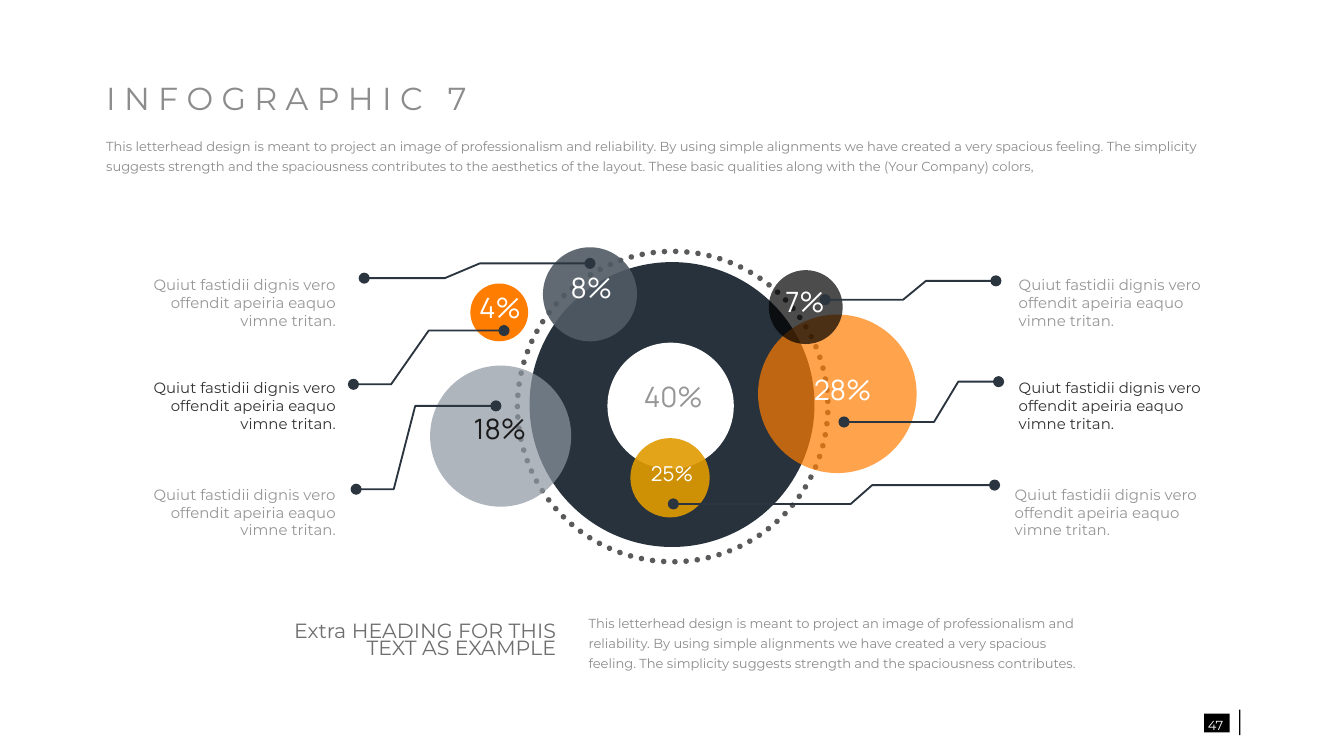
from lxml.etree import SubElement
from pptx import Presentation
from pptx.dml.color import RGBColor
from pptx.enum.dml import MSO_LINE
from pptx.enum.shapes import MSO_SHAPE
from pptx.enum.text import MSO_ANCHOR, MSO_AUTO_SIZE, PP_ALIGN
from pptx.oxml.ns import qn
from pptx.util import Inches, Pt

WHITE = RGBColor(0xFF, 0xFF, 0xFF)
BLACK = RGBColor(0x00, 0x00, 0x00)
INK = RGBColor(0x1A, 0x1A, 0x1A)
DARK = RGBColor(0x32, 0x32, 0x32)
GRAY = RGBColor(0x96, 0x96, 0x96)
SOFT = RGBColor(0x8C, 0x8C, 0x8C)
HEAD = RGBColor(0x6E, 0x6E, 0x6E)
DOTS = RGBColor(0x5A, 0x5A, 0x5A)
NAVY = RGBColor(0x28, 0x32, 0x3C)
WIRE = RGBColor(0x2B, 0x35, 0x3F)
SLATE = RGBColor(0x50, 0x5A, 0x64)
STEEL = RGBColor(0x8C, 0x96, 0xA0)
ORANGE = RGBColor(0xFF, 0x7D, 0x00)
GOLD = RGBColor(0xE1, 0x9B, 0x00)

INTRO = (
    "This letterhead design is meant to project an image of professionalism and "
    "reliability. By using simple alignments we have created a very spacious feeling. "
    "The simplicity suggests strength and the spaciousness contributes"
)
MORE = (
    " to the aesthetics of the layout. These basic qualities along with the "
    "(Your Company) colors,"
)
NOTE = "Quiut fastidii dignis vero offendit apeiria eaquo vimne tritan."

BUBBLES = [
    (4.04, 1.84, 0.7, SLATE, 90, "8%", (4.15, 2.02, 0.5, 0.27), 15, WHITE),
    (3.5, 2.11, 0.43, ORANGE, 100, "4%", (3.47, 2.17, 0.5, 0.27), 15, WHITE),
    (3.2, 2.72, 1.05, STEEL, 70, "18%", (3.47, 3.07, 0.5, 0.27), 15, INK),
    (4.52, 2.55, 0.94, WHITE, 100, "40%", (4.76, 2.83, 0.5, 0.27), 15, GRAY),
    (5.64, 2.34, 1.18, ORANGE, 70, "28%", (6.02, 2.78, 0.5, 0.27), 15, WHITE),
    (5.72, 2.01, 0.55, BLACK, 70, "7%", (5.74, 2.12, 0.5, 0.27), 15, WHITE),
    (4.69, 3.26, 0.59, GOLD, 90, "25%", (4.69, 3.28, 0.62, 0.51), 11, WHITE),
]
ROWS = [(2.04, GRAY), (2.81, DARK), (3.6, GRAY)]
LEFTS = [(1.02, 1.48), (1.02, 1.48), (0.98, 1.52)]
RIGHTS = [(7.58, 1.48), (7.58, 1.48), (7.55, 1.52)]
WIRES = [
    (2.71, 3.31, 3.57, 4.39, 2.07, 1.96),
    (2.63, 2.91, 3.19, 3.75, 2.86, 2.46),
    (2.65, 2.93, 3.09, 3.69, 3.64, 3.02),
    (7.41, 6.89, 6.72, 6.14, 2.09, 2.23),
    (7.43, 7.13, 6.95, 6.28, 2.84, 3.14),
    (7.4, 6.49, 6.33, 5.01, 3.61, 3.75),
]


def write(box, text, size, color, font="Montserrat", align=PP_ALIGN.LEFT, space=1.0):
    """Fill a box with one styled paragraph."""
    frame = box.text_frame
    frame.text = text
    frame.word_wrap = True
    frame.auto_size = MSO_AUTO_SIZE.NONE
    frame.vertical_anchor = MSO_ANCHOR.MIDDLE
    frame.margin_left = frame.margin_right = 0
    frame.margin_top = frame.margin_bottom = 0
    para = frame.paragraphs[0]
    para.alignment = align
    para.line_spacing = space
    style = para.runs[0].font
    style.name = font
    style.size = Pt(size)
    style.color.rgb = color


def add_text(shapes, at, *args, **style):
    """Add a text box in the given place."""
    box = shapes.add_textbox(*map(Inches, at))
    write(box, *args, **style)


def add_form(shapes, kind, at, color=None, alpha=100):
    """Add a plain shape without a line."""
    form = shapes.add_shape(kind, *map(Inches, at))
    form.shadow.inherit = False
    form.line.fill.background()
    if color is None:
        form.fill.background()
        return form
    form.fill.solid()
    form.fill.fore_color.rgb = color
    if alpha < 100:
        tone = form.element.spPr.find(".//" + qn("a:srgbClr"))
        SubElement(tone, qn("a:alpha"), val=str(alpha * 1000))
    return form


def add_ring(shapes):
    """Add the dotted ring and the dark disc inside it."""
    ring = add_form(shapes, MSO_SHAPE.OVAL, (3.85, 1.87, 2.31, 2.31))
    ring.line.color.rgb = DOTS
    ring.line.width = Pt(3)
    ring.line.dash_style = MSO_LINE.ROUND_DOT
    ring.element.spPr.find(qn("a:ln")).set("cap", "rnd")
    add_form(shapes, MSO_SHAPE.OVAL, (3.94, 1.95, 2.12, 2.12), NAVY)


def add_bubble(shapes, left, top, size, fill, alpha, label, at, points, color):
    """Add a circle grouped with its percentage."""
    group = shapes.add_group_shape().shapes
    add_form(group, MSO_SHAPE.OVAL, (left, top, size, size), fill, alpha)
    add_text(group, at, label, points, color, font="Manrope",
             align=PP_ALIGN.CENTER, space=0.9)


def add_wire(shapes, start, bend, turn, stop, near, far):
    """Add a bent leader line with a dot at both ends."""
    spots = [(start, near), (bend, near), (turn, far), (stop, far)]
    first, *rest = [(Inches(x), Inches(y)) for x, y in spots]
    path = shapes.build_freeform(*first)
    path.add_line_segments(rest, close=False)
    wire = path.convert_to_shape()
    wire.shadow.inherit = False
    wire.fill.background()
    wire.line.color.rgb = WIRE
    wire.line.width = Pt(1)
    line = wire.element.spPr.find(qn("a:ln"))
    for tip in ("a:headEnd", "a:tailEnd"):
        SubElement(line, qn(tip), type="oval")


def add_notes(shapes, spots, align):
    """Add one column of three notes."""
    for (left, width), (top, color) in zip(spots, ROWS):
        add_text(shapes, (left, top, width, 0.42), NOTE, 8, color, align=align)


def add_page(shapes):
    """Add the page number with its bar."""
    group = shapes.add_group_shape().shapes
    add_form(group, MSO_SHAPE.RECTANGLE, (8.96, 5.31, 0.19, 0.14), BLACK)
    add_text(group, (8.93, 5.3, 0.23, 0.16), "47", 7, WHITE,
             align=PP_ALIGN.CENTER, space=1.3)
    add_form(group, MSO_SHAPE.RECTANGLE, (9.22, 5.28, 0.01, 0.19), BLACK)


def set_title(title):
    """Place and style the spaced-out title."""
    title.left, title.top = Inches(0.79), Inches(0.6)
    title.width, title.height = Inches(4.41), Inches(0.33)
    write(title, " ".join("INFOGRAPHIC 7"), 17, SOFT, space=0.7)


def main():
    """Build the slide and save it."""
    deck = Presentation()
    deck.slide_width = Inches(10)
    deck.slide_height = Inches(10 * 9 / 16)
    shapes = deck.slides.add_slide(deck.slide_layouts[5]).shapes
    set_title(shapes.title)
    add_text(shapes, (0.79, 0.99, 8.31, 0.31), INTRO + MORE, 7, SOFT, space=1.3)
    add_ring(shapes)
    for bubble in BUBBLES:
        add_bubble(shapes, *bubble)
    add_notes(shapes, LEFTS, PP_ALIGN.RIGHT)
    add_notes(shapes, RIGHTS, PP_ALIGN.LEFT)
    for wire in WIRES:
        add_wire(shapes, *wire)
    add_text(shapes, (2.06, 4.59, 2.08, 0.37), "Extra HEADING FOR THIS TEXT AS EXAMPLE",
             11, HEAD, align=PP_ALIGN.RIGHT, space=0.7)
    add_text(shapes, (4.38, 4.54, 3.76, 0.46), INTRO + ".", 7, SOFT, space=1.3)
    add_page(shapes)
    deck.save("out.pptx")


if __name__ == "__main__":
    main()
